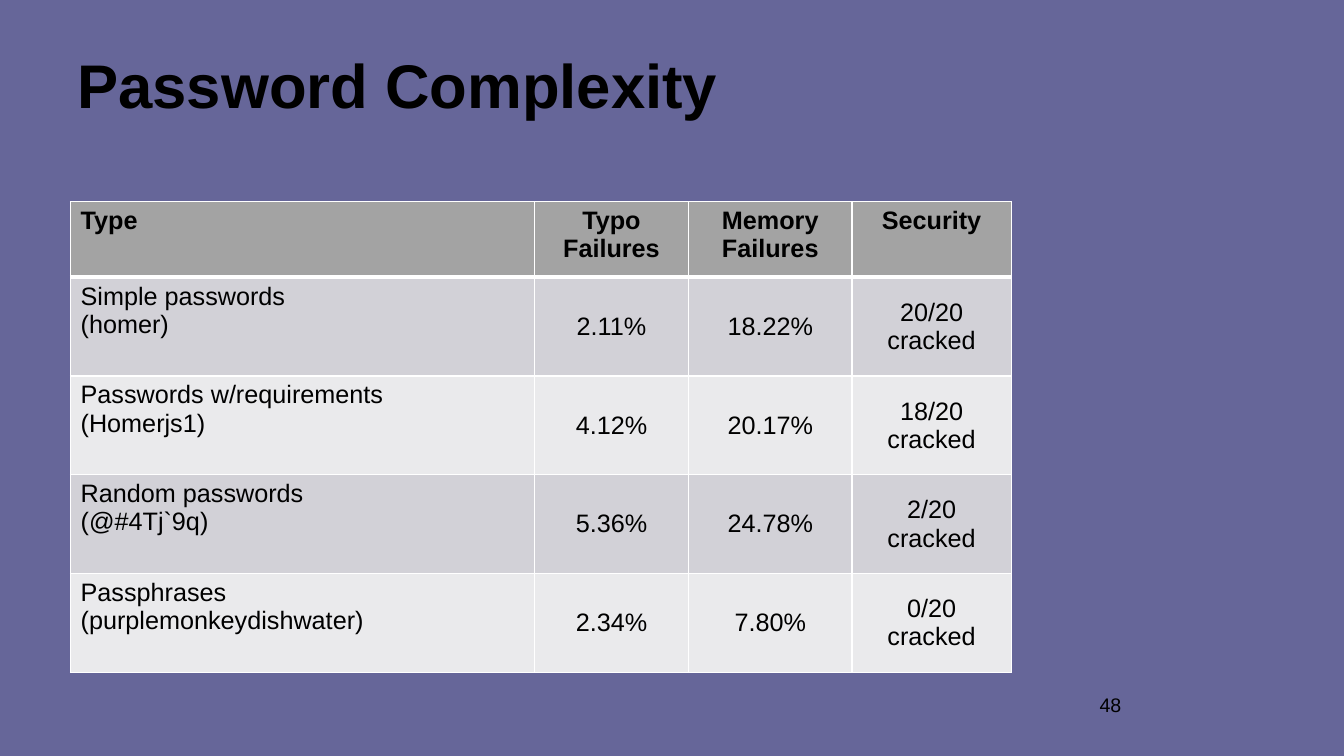
from dataclasses import dataclass

from lxml.etree import SubElement
from pptx import Presentation
from pptx.dml.color import RGBColor as Color
from pptx.enum.text import MSO_ANCHOR as Anchor, PP_ALIGN as Align
from pptx.oxml.ns import qn
from pptx.util import Inches, Pt


@dataclass(frozen=True)
class Theme:
    font: str = "Arial"
    background: str = "666699"
    ink: str = "000000"
    header: str = "A3A3A3"
    bands: tuple = ("D2D1D7", "EAEAEC")
    rule: str = "FFFFFF"
    thin: float = 1
    thick: float = 3
    title_size: int = 44
    table_size: int = 18
    number_size: int = 14


class SlideBuilder:
    """Draws styled elements on one slide."""

    def __init__(self, slide, theme):
        self.slide = slide
        self.theme = theme
        backdrop = slide.background.fill
        backdrop.solid()
        backdrop.fore_color.rgb = Color.from_string(theme.background)

    def add_lines(self, frame, lines, size, bold=False, align=Align.LEFT):
        for index, line in enumerate(lines):
            paragraph = frame.add_paragraph() if index else frame.paragraphs[0]
            paragraph.alignment = align
            run = paragraph.add_run()
            run.text = line
            run.font.name = self.theme.font
            run.font.size = Pt(size)
            run.font.bold = bold
            run.font.color.rgb = Color.from_string(self.theme.ink)

    def text(self, line, box, size, bold=False, align=Align.LEFT, anchor=Anchor.TOP):
        frame = self.slide.shapes.add_textbox(*map(Inches, box)).text_frame
        frame.word_wrap = True
        frame.vertical_anchor = anchor
        self.add_lines(frame, [line], size, bold, align)

    def border(self, cell, side, width):
        properties = cell._tc.get_or_add_tcPr()
        line = SubElement(properties, qn(f"a:ln{side}"), w=str(Pt(width)))
        fill = SubElement(line, qn("a:solidFill"))
        SubElement(fill, qn("a:srgbClr"), val=self.theme.rule)

    def cell(self, cell, lines, row, column):
        theme = self.theme
        is_header = row == 0
        widths = {
            "L": theme.thin,
            "R": theme.thin,
            "T": theme.thick if row == 1 else theme.thin,
            "B": theme.thick if is_header else theme.thin,
        }
        for side, width in widths.items():
            self.border(cell, side, width)
        shade = theme.header if is_header else theme.bands[(row - 1) % 2]
        cell.fill.solid()
        cell.fill.fore_color.rgb = Color.from_string(shade)
        is_label = column == 0
        cell.vertical_anchor = Anchor.TOP if is_header or is_label else Anchor.MIDDLE
        align = Align.LEFT if is_label else Align.CENTER
        self.add_lines(cell.text_frame, lines, theme.table_size, is_header, align)

    def table(self, rows, left, top, widths, heights):
        box = map(Inches, (left, top, sum(widths), sum(heights)))
        grid = self.slide.shapes.add_table(len(rows), len(widths), *box).table
        for column, width in zip(grid.columns, widths):
            column.width = Inches(width)
        for grid_row, height in zip(grid.rows, heights):
            grid_row.height = Inches(height)
        for row, entries in enumerate(rows):
            for column, entry in enumerate(entries):
                self.cell(grid.cell(row, column), entry.split("\n"), row, column)


PASSWORD_RESULTS = [
    ("Type", "Typo Failures", "Memory Failures", "Security"),
    ("Simple passwords\n(homer)", "2.11%", "18.22%", "20/20 cracked"),
    ("Passwords w/requirements\n(Homerjs1)", "4.12%", "20.17%", "18/20 cracked"),
    ("Random passwords\n(@#4Tj`9q)", "5.36%", "24.78%", "2/20 cracked"),
    ("Passphrases\n(purplemonkeydishwater)", "2.34%", "7.80%", "0/20 cracked"),
]


def main():
    deck = Presentation()
    deck.slide_width = Inches(13.33)
    deck.slide_height = Inches(7.5)
    theme = Theme()
    builder = SlideBuilder(deck.slides.add_slide(deck.slide_layouts[6]), theme)
    builder.text("Password Complexity", (0.67, 0.08, 10.56, 1.5), theme.title_size,
                 bold=True, anchor=Anchor.MIDDLE)
    builder.table(PASSWORD_RESULTS, 0.7, 2, widths=(4.6, 1.53, 1.62, 1.58),
                  heights=[0.75] + [0.98] * 4)
    builder.text("48", (9.44, 6.83, 1.78, 0.5), theme.number_size, align=Align.RIGHT)
    deck.save("out.pptx")


if __name__ == "__main__":
    main()
